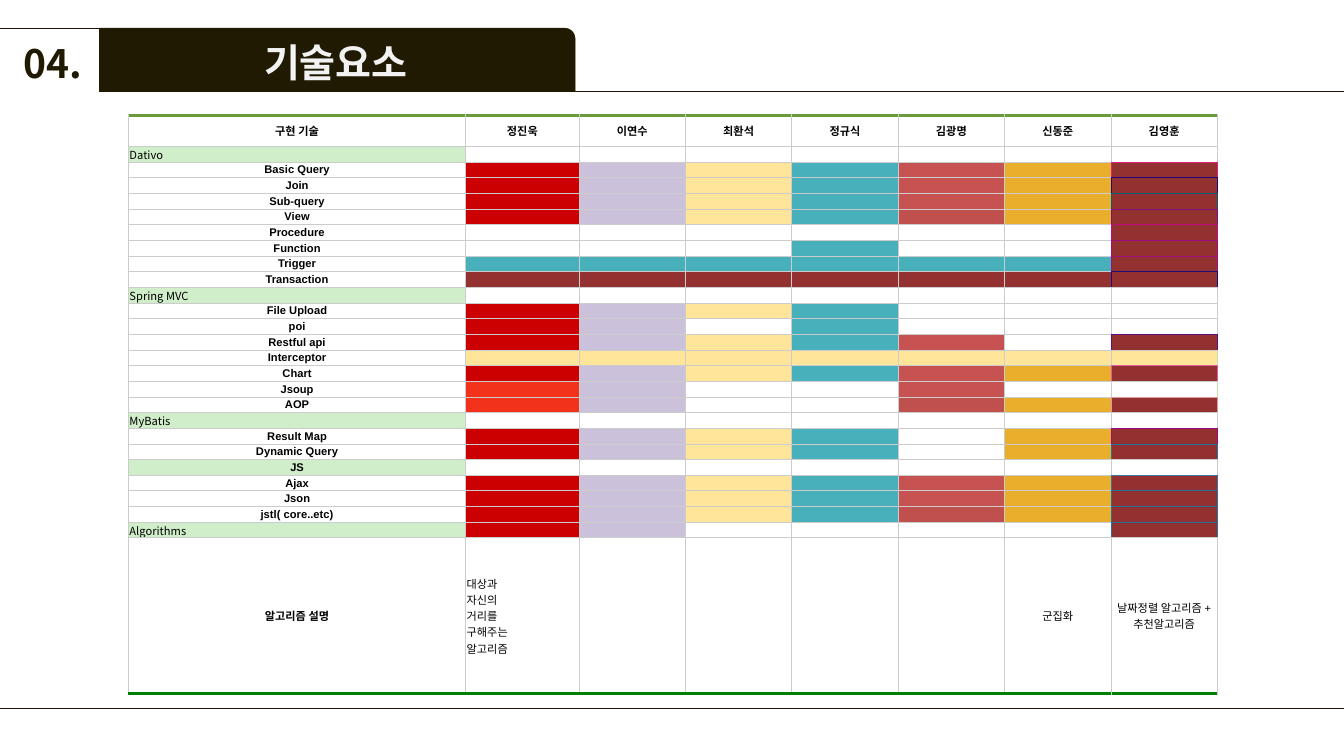
import pptx
import pptx.util
import pptx.dml.color
import pptx.enum.shapes
import pptx.enum.text
import pptx.oxml
import pptx.oxml.ns
import lxml.etree

COLOURS = {
    "ink": "201A02", "title": "F2F2F2", "outline": "D9D9D9", "text": "000000",
    "grid": "CCCCCC", "top": "699B37", "bottom": "008000", "pale": "C6E1AB",
    ".": "FFFFFF", "G": "D0EEC9", "R": "CC0000", "F": "F3321C", "L": "CCC1DA",
    "Y": "FFE599", "T": "47B0BB", "P": "C75252", "Q": "C0504D", "O": "E9AE2B",
    "M": "933030",
}
SANS = "Noto Sans CJK KR"
LATIN = "Arial"
MEMBERS = ["정진욱", "이연수", "최환석", "정규식", "김광명", "신동준", "김영훈"]
SECTIONS = {"Dativo", "Spring MVC", "MyBatis", "Algorithms"}
PALE_EDGES = {"Interceptor", "Jsoup"}
SKILLS = [
    ("Dativo", "G.......", None),
    ("Basic Query", ".RLYTPOM", "E01F7B"),
    ("Join", ".RLYTPOM", "200781"),
    ("Sub-query", ".RLYTPOM", "006076"),
    ("View", ".RLYTQOM", "800D81"),
    ("Procedure", ".......M", "C00C81"),
    ("Function", "....T..M", "A00C81"),
    ("Trigger", ".TTTTTTM", "A00F81"),
    ("Transaction", ".MMMMMMM", "200E81"),
    ("Spring MVC", "G.......", None),
    ("File Upload", ".RLYT...", None),
    ("poi", ".RL.T...", None),
    ("Restful api", ".RLYTP.M", "600F81"),
    ("Interceptor", ".YYYYYYY", None),
    ("Chart", ".RLYTPOM", "E05E9E"),
    ("Jsoup", ".FL..P..", None),
    ("AOP", ".FL..QOM", "E0979E"),
    ("MyBatis", "G.......", None),
    ("Result Map", ".RLYT.OM", "A00A81"),
    ("Dynamic Query", ".RLYT.OM", "2073A0"),
    ("JS", "G.......", None),
    ("Ajax", ".RLYTPOM", "4072A0"),
    ("Json", ".RLYTPOM", "2073A0"),
    ("jstl( core..etc)", ".RLYTQOM", "2073A0"),
    ("Algorithms", "GRL....M", "2073A0"),
]
NOTES = {
    1: "대상과 \v자신의 \v거리를 \v구해주는 \v알고리즘",
    6: "군집화",
    7: "날짜정렬 알고리즘 + 추천알고리즘",
}
COLUMN_WIDTHS = [336, 113] + [106] * 6
HEADER_HEIGHT, NOTES_HEIGHT, TABLE_HEIGHT = 31, 155, 576


def px(length):
    return pptx.util.Emu(round(length * 9144))


def colour(value):
    return pptx.dml.color.RGBColor.from_string(value)


def qn(tag):
    return pptx.oxml.ns.qn(tag)


class Sheet:
    def __init__(self, page):
        self.page = page

    def style(self, para, size, shade, bold, font, centred):
        align = pptx.enum.text.PP_ALIGN
        para.alignment = align.CENTER if centred else align.LEFT
        para.font.size = pptx.util.Pt(size)
        para.font.bold = bold
        para.font.name = font
        para.font.color.rgb = colour(shade)
        defaults = para._p.pPr.find(qn("a:defRPr"))
        lxml.etree.SubElement(defaults, qn("a:ea")).set("typeface", SANS)

    def banner(self, left, top, width, height):
        shape = self.page.shapes.add_shape(
            pptx.enum.shapes.MSO_SHAPE.ROUND_1_RECTANGLE,
            px(left), px(top), px(width), px(height))
        shape.shadow.inherit = False
        shape.fill.solid()
        shape.fill.fore_color.rgb = colour(COLOURS["ink"])
        shape.line.color.rgb = colour(COLOURS["ink"])
        shape.line.width = pptx.util.Pt(0.25)

    def line(self, left, top, right, bottom, bend=None):
        kinds = pptx.enum.shapes.MSO_CONNECTOR
        line = self.page.shapes.add_connector(
            kinds.ELBOW if bend else kinds.STRAIGHT,
            px(left), px(top), px(right), px(bottom))
        line.line.color.rgb = colour(COLOURS["ink"])
        line.line.width = pptx.util.Pt(0.75)
        properties = line._element.spPr
        lxml.etree.SubElement(properties, qn("a:effectLst"))
        if bend:
            guides = properties.find(qn("a:prstGeom")).find(qn("a:avLst"))
            guide = lxml.etree.SubElement(guides, qn("a:gd"))
            guide.set("name", "adj1")
            guide.set("fmla", f"val {bend}")

    def heading(self, text, left, top, width, height, shade):
        box = self.page.shapes.add_textbox(px(left), px(top), px(width), px(height))
        frame = box.text_frame
        frame.word_wrap = True
        frame.margin_top = frame.margin_bottom = 0
        frame.vertical_anchor = pptx.enum.text.MSO_ANCHOR.MIDDLE
        frame.text = text
        para = frame.paragraphs[0]
        self.style(para, 28, shade, True, SANS, True)
        defaults = para._p.pPr.find(qn("a:defRPr"))
        defaults.insert(0, self.stroke("a:ln", COLOURS["outline"], 0.75, 30))

    def stroke(self, tag, shade, width, alpha=100):
        return pptx.oxml.parse_xml(
            f'<{tag} {pptx.oxml.ns.nsdecls("a")} w="{round(width * 12700)}">'
            f'<a:solidFill><a:srgbClr val="{shade}"><a:alpha val="{alpha * 1000}"/>'
            f'</a:srgbClr></a:solidFill></{tag}>')

    def table(self, left, top, widths, heights):
        frame = self.page.shapes.add_table(
            len(heights), len(widths), px(left), px(top),
            px(sum(widths)), px(sum(heights)))
        table = frame.table
        table.first_row = table.horz_banding = False
        for column, width in zip(table.columns, widths):
            column.width = px(width)
        for row, height in zip(table.rows, heights):
            row.height = px(height)
        return table

    def cell(self, cell, text, fill, borders, bold=False, font=SANS, centred=True):
        cell.margin_left = cell.margin_right = px(1)
        cell.margin_top = cell.margin_bottom = 0
        cell.vertical_anchor = pptx.enum.text.MSO_ANCHOR.MIDDLE
        cell.text = text
        para = cell.text_frame.paragraphs[0]
        self.style(para, 8, COLOURS["text"], bold, font, centred)
        if not text:
            lxml.etree.SubElement(para._p, qn("a:endParaRPr")).set("sz", "800")
        properties = cell._tc.get_or_add_tcPr()
        for side in "LRTB":
            shade, width = borders.get(side, (COLOURS["grid"], 0.75))
            properties.append(self.stroke(f"a:ln{side}", shade, width))
        cell.fill.solid()
        cell.fill.fore_color.rgb = colour(COLOURS[fill])


def skill_borders(index, column):
    name, _, accent = SKILLS[index]
    following = SKILLS[index + 1][2] if index + 1 < len(SKILLS) else None
    borders = {}
    if accent and column == 6:
        borders["R"] = (accent, 0.75)
    if column == 7:
        if accent:
            borders.update({side: (accent, 0.75) for side in "LTR"})
        if name in PALE_EDGES:
            borders["R"] = (COLOURS["pale"], 0.75)
        if following:
            borders["B"] = (following, 0.75)
    return borders


def fill_skill_table(sheet):
    skill_height = (TABLE_HEIGHT - HEADER_HEIGHT - NOTES_HEIGHT) / len(SKILLS)
    heights = [HEADER_HEIGHT] + [skill_height] * len(SKILLS) + [NOTES_HEIGHT]
    table = sheet.table(128, 115, COLUMN_WIDTHS, heights)
    for column, text in enumerate(["구현 기술"] + MEMBERS):
        sheet.cell(table.cell(0, column), text, ".", {"T": (COLOURS["top"], 2.25)}, True)
    for index, (name, fills, _) in enumerate(SKILLS):
        section = name in SECTIONS
        for column, fill in enumerate(fills):
            sheet.cell(table.cell(index + 1, column), "" if column else name, fill,
                       skill_borders(index, column), not section,
                       SANS if section else LATIN, not section)
    last = len(heights) - 1
    for column in range(len(COLUMN_WIDTHS)):
        text = NOTES.get(column, "") if column else "알고리즘 설명"
        sheet.cell(table.cell(last, column), text, ".",
                   {"B": (COLOURS["bottom"], 2.25)}, column == 0,
                   LATIN if column > 5 else SANS, column != 1)


def main():
    deck = pptx.Presentation()
    deck.slide_width, deck.slide_height = px(1339), px(750)
    sheet = Sheet(deck.slides.add_slide(deck.slide_layouts[6]))
    sheet.banner(99, 28, 474, 63)
    sheet.line(0, 28, 1339, 91, bend=7400)
    sheet.heading("기술요소", 134, 33, 401, 57, COLOURS["title"])
    sheet.heading("04.", -6, 34, 118, 57, COLOURS["ink"])
    sheet.line(0, 706, 1339, 706)
    fill_skill_table(sheet)
    deck.save("out.pptx")


if __name__ == "__main__":
    main()
